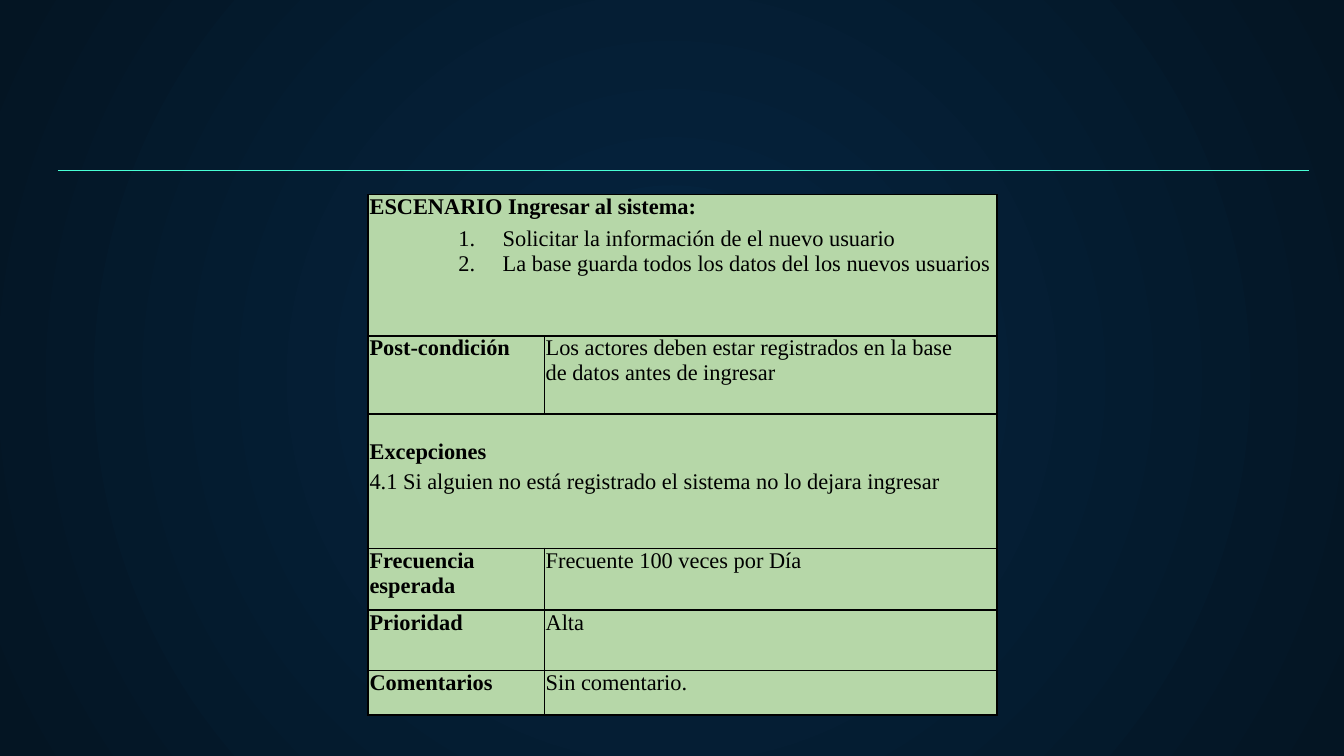
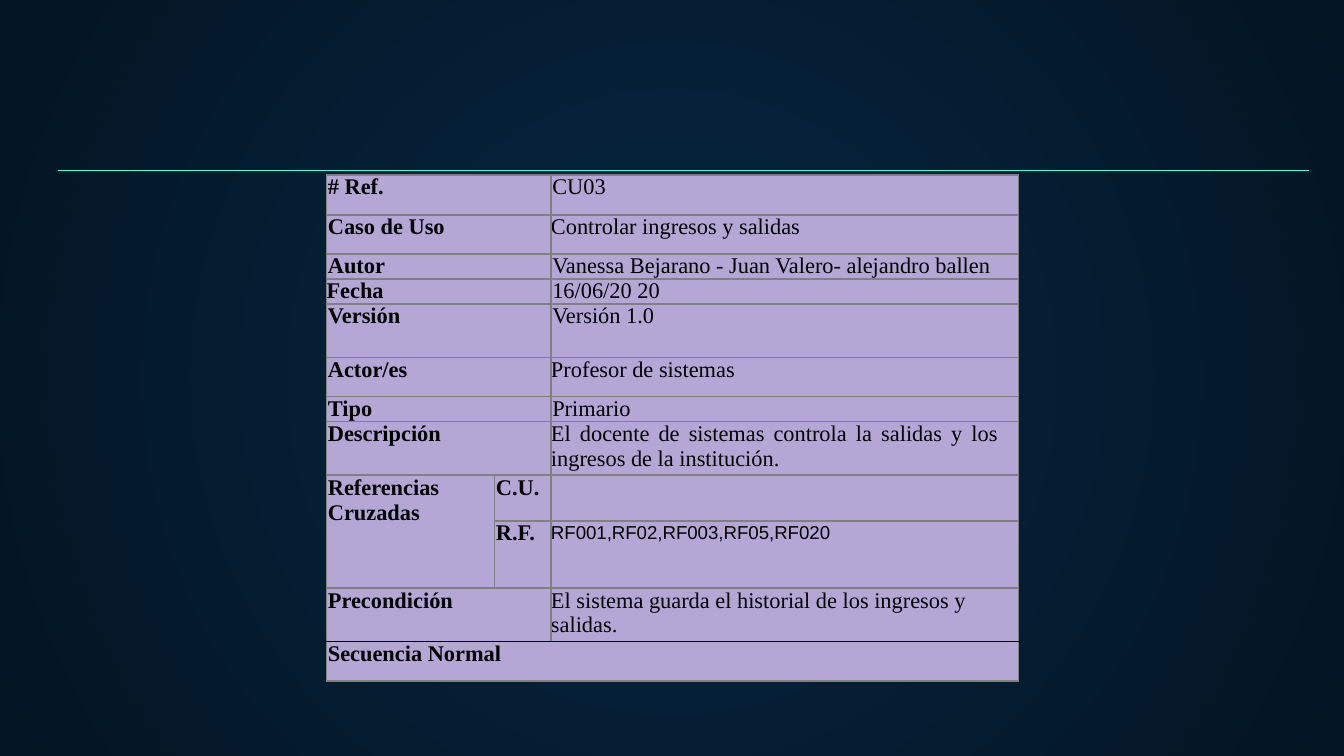
from dataclasses import dataclass

from lxml.etree import SubElement
from pptx import Presentation
from pptx.dml.color import RGBColor
from pptx.enum.shapes import MSO_CONNECTOR
from pptx.enum.text import PP_ALIGN
from pptx.oxml import parse_xml
from pptx.oxml.ns import nsdecls, qn
from pptx.util import Inches, Pt

NAVY = RGBColor(0x05, 0x26, 0x43)
NIGHT = RGBColor(0x04, 0x15, 0x23)
AQUA = RGBColor(0x48, 0xFF, 0xD5)
GREEN = RGBColor(0xB6, 0xD7, 0xA8)
LILAC = RGBColor(0xB4, 0xA7, 0xD6)
GRAY = RGBColor(0x80, 0x80, 0x80)
BLACK = RGBColor(0x00, 0x00, 0x00)
SERIF = "Times New Roman"


@dataclass
class Line:
    """One paragraph of a table cell."""
    text: str
    bold: bool = False
    indent: float = 0.01
    before: float = 0
    numbered: bool = False
    font: str = SERIF
    size: float = 12
    align: PP_ALIGN | None = None
    spacing: float | None = None


@dataclass
class Entry:
    """The lines of a cell, its span in rows and columns, and its margins."""
    lines: list
    span: tuple = (1, 1)
    top: float = 0
    right: float = 0


def label(*texts, span=(1, 1), indent=0.01):
    """Return a bold entry."""
    return Entry([Line(text, True, indent) for text in texts], span)


def value(text, right=0, **style):
    """Return an entry with one line of regular text."""
    return Entry([Line(text, **style)], right=right)


def wide_row(name, content, **style):
    """Return a row whose label covers the first two of three columns."""
    return [label(name, span=(1, 2)), None, value(content, **style)]


def add_base(deck):
    """Add a slide with the radial background and the title rule."""
    slide = deck.slides.add_slide(deck.slide_layouts[6])
    fill = slide.background.fill
    fill.gradient()
    for stop, color in zip(fill.gradient_stops, (NAVY, NIGHT)):
        stop.color.rgb = color
    gradient = slide.element.find(".//" + qn("a:gradFill"))
    gradient.replace(gradient.find(qn("a:lin")), parse_xml(
        f'<a:path {nsdecls("a")} path="circle">'
        '<a:fillToRect l="50000" t="50000" r="50000" b="50000"/></a:path>'))
    rule = slide.shapes.add_connector(
        MSO_CONNECTOR.STRAIGHT, Inches(0.43), Inches(1.27), Inches(9.74), Inches(1.27))
    rule.line.color.rgb = AQUA
    rule.line.width = Pt(0.75)
    SubElement(rule.element.spPr, qn("a:effectLst"))
    return slide


def write_line(paragraph, line):
    """Write and format one line of a cell."""
    paragraph.text = line.text
    properties = paragraph._p.get_or_add_pPr()
    properties.set("marL", str(Inches(line.indent)))
    properties.set("indent", str(Inches(-0.33 if line.numbered else 0)))
    if line.before:
        paragraph.space_before = Pt(line.before)
    if line.spacing:
        paragraph.line_spacing = line.spacing
    if line.align is not None:
        paragraph.alignment = line.align
    if line.numbered:
        color = SubElement(properties, qn("a:buClr"))
        SubElement(color, qn("a:srgbClr"), val=str(BLACK))
        SubElement(properties, qn("a:buAutoNum"), type="arabicPeriod")
    font = paragraph.font
    font.name, font.size, font.bold = line.font, Pt(line.size), line.bold
    font.color.rgb = BLACK


def set_borders(cell, sides):
    """Draw the four borders of a cell from (colour, width) pairs."""
    properties = cell._tc.get_or_add_tcPr()
    for place, (side, (color, width)) in enumerate(zip("LRTB", sides)):
        properties.insert(place, parse_xml(
            f'<a:ln{side} {nsdecls("a")} w="{Pt(width)}"><a:solidFill>'
            f'<a:srgbClr val="{color}"/></a:solidFill></a:ln{side}>'))


def add_use_case(slide, left, top, widths, heights, rows, fill, border, seams):
    """Add a use case table; seams gives the special border above a row."""
    table = slide.shapes.add_table(
        len(heights), len(widths), Inches(left), Inches(top),
        Inches(sum(widths)), Inches(sum(heights))).table
    table.first_row = table.horz_banding = False
    for column, width in zip(table.columns, widths):
        column.width = Inches(width)
    for row, height in zip(table.rows, heights):
        row.height = Inches(height)
    for r, entries in enumerate(rows):
        for c, entry in enumerate(entries):
            cell = table.cell(r, c)
            cell.margin_left = cell.margin_right = cell.margin_top = cell.margin_bottom = 0
            cell.fill.solid()
            cell.fill.fore_color.rgb = fill
            set_borders(cell, (border, border, seams.get(r, border), seams.get(r + 1, border)))
            if entry is None:
                continue
            cell.margin_top, cell.margin_right = Inches(entry.top), Inches(entry.right)
            frame = cell.text_frame
            for i, line in enumerate(entry.lines):
                write_line(frame.add_paragraph() if i else frame.paragraphs[0], line)
            if entry.span != (1, 1):
                cell.merge(table.cell(r + entry.span[0] - 1, c + entry.span[1] - 1))


def add_scenario(deck):
    """Add the slide with the scenario of entering the system."""
    scenario = Entry([
        Line("ESCENARIO Ingresar al sistema:", True),
        Line("Solicitar la información de el nuevo usuario", indent=1, before=3.5, numbered=True),
        Line("La base guarda todos los datos del los nuevos usuarios", indent=1, numbered=True),
    ], (1, 2))
    exceptions = Entry([
        Line("Excepciones", True),
        Line("4.1 Si alguien no está registrado el sistema no lo dejara ingresar", before=3),
    ], (1, 2), top=0.19)
    rows = [
        [scenario, None],
        [label("Post-condición"),
         value("Los actores deben estar registrados en la base de datos antes de ingresar", right=0.2)],
        [exceptions, None],
        [label("Frecuencia esperada"), value("Frecuente 100 veces por Día")],
        [label("Prioridad"), value("Alta")],
        [label("Comentarios"), value("Sin comentario.")],
    ]
    add_use_case(add_base(deck), 2.74, 1.45, [1.31, 3.37], [1.05, 0.58, 1, 0.46, 0.45, 0.33],
                 rows, GREEN, (BLACK, 1), {0: (BLACK, 0.75)})


def add_control(deck):
    """Add the slide with the use case of controlling entries and exits."""
    rows = [
        wide_row("# Ref.", "CU03"),
        wide_row("Caso de Uso", "Controlar ingresos y salidas", indent=0),
        wide_row("Autor", "Vanessa Bejarano - Juan Valero- alejandro ballen"),
        [label("Fecha", span=(1, 2), indent=0), None, value("16/06/20 20")],
        wide_row("Versión", "Versión 1.0"),
        wide_row("Actor/es", "Profesor de sistemas", indent=0),
        wide_row("Tipo", "Primario"),
        wide_row("Descripción",
                 "El docente de sistemas controla la salidas y los ingresos de la institución.",
                 indent=0, right=0.15, align=PP_ALIGN.JUSTIFY),
        [label("Referencias", "Cruzadas", span=(2, 1)), label("C.U."), Entry([])],
        [None, label("R.F."),
         value("RF001,RF02,RF003,RF05,RF020", indent=0, font="Arial", size=10, spacing=1.08)],
        wide_row("Precondición", "El sistema guarda el historial de los ingresos y salidas.", indent=0),
        [label("Secuencia Normal", span=(1, 3)), None, None],
    ]
    heights = [0.3, 0.29, 0.18, 0.18, 0.4, 0.29, 0.18, 0.4, 0.34, 0.5, 0.4, 0.29]
    add_use_case(add_base(deck), 2.43, 1.3, [1.25, 0.42, 3.48], heights,
                 rows, LILAC, (GRAY, 1), {11: (BLACK, 0.75)})


def main():
    """Build and save the presentation."""
    deck = Presentation()
    deck.slide_width = Inches(10)
    deck.slide_height = deck.slide_width * 9 // 16
    add_scenario(deck)
    add_control(deck)
    deck.save("out.pptx")


if __name__ == "__main__":
    main()
